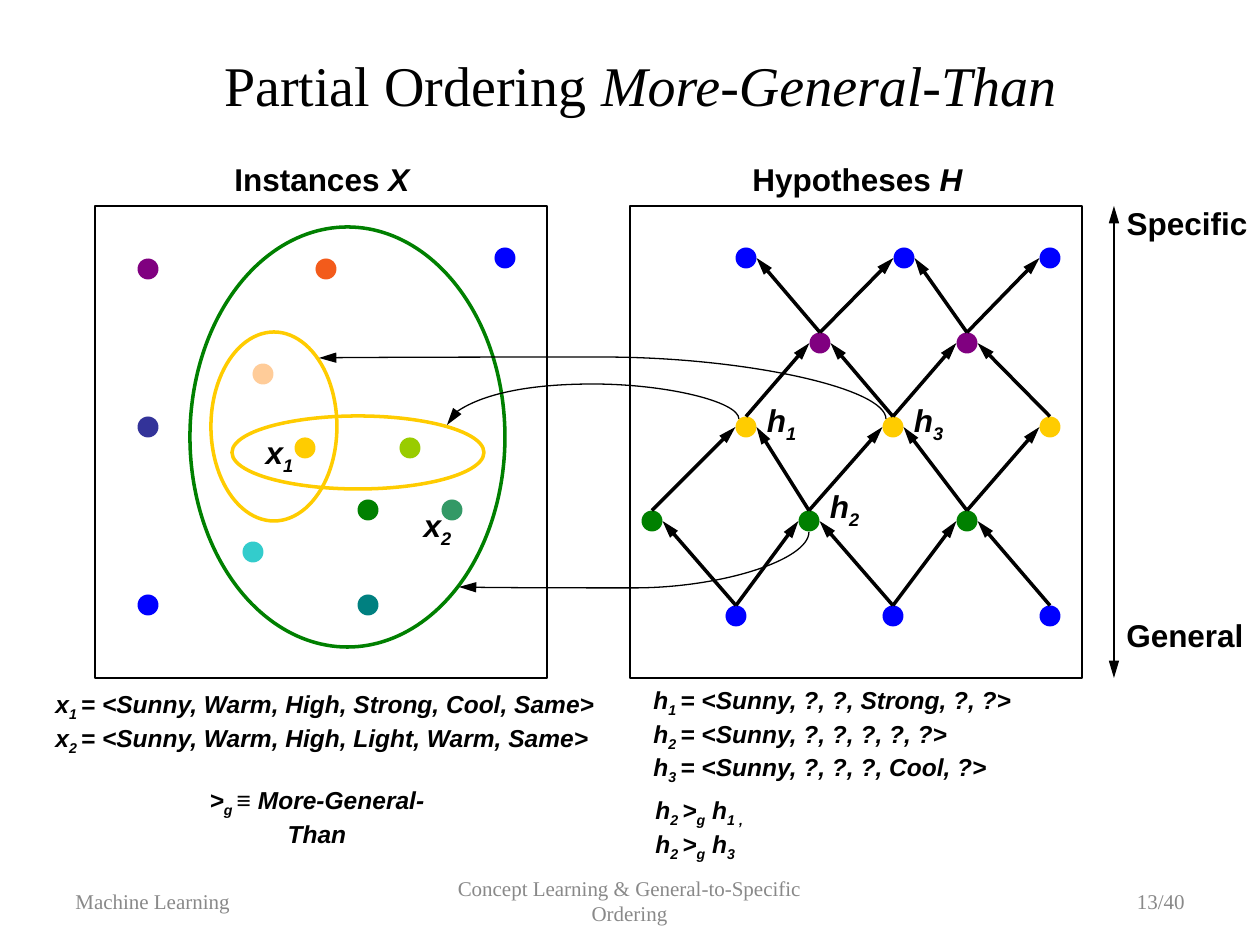
"""Builds the slide on the more-general-than ordering of hypotheses."""
from lxml import etree
from pptx import Presentation, util as u
from pptx.dml.color import RGBColor
from pptx.enum import shapes, text
from pptx.oxml.ns import qn

PX = u.Inches(10) / 1260
BLACK, GREY = RGBColor(0, 0, 0), RGBColor(0x89, 0x89, 0x89)
BLUE, PURPLE = RGBColor(0, 0, 255), RGBColor(128, 0, 128)
GREEN, GOLD = RGBColor(0, 128, 0), RGBColor(255, 204, 0)
ORANGE, INDIGO = RGBColor(0xF3, 0x5B, 0x1B), RGBColor(0x33, 0x33, 0x99)
PEACH, AQUA = RGBColor(0xFF, 0xCC, 0x99), RGBColor(0x33, 0xCC, 0xCC)
LIME, SEA, TEAL = RGBColor(0x99, 0xCC, 0), RGBColor(0x33, 0x99, 0x66), RGBColor(0, 128, 128)
SERIF, SANS = "Times New Roman", "Arial"
LEFT, CENTER, RIGHT = text.PP_ALIGN.LEFT, text.PP_ALIGN.CENTER, text.PP_ALIGN.RIGHT

TITLE = "Partial Ordering *More-General-Than"
FOOTERS = [
    ("Machine Learning", (63, 876, 294, 50), LEFT),
    ("Concept Learning & General-to-Specific Ordering", (430, 876, 399, 50), CENTER),
    ("13/40", (903, 876, 294, 50), RIGHT),
]
HEADINGS = [
    ("Specific", (1114, 198, 146, 50)), ("General", (1110, 610, 150, 50)),
    ("Instances *X", (222, 154, 200, 50)), ("Hypotheses *H", (740, 154, 235, 50)),
]
POINT_LABELS = [
    ("x_1", (252, 427)), ("x_2", (410, 500)),
    ("h_1", (754, 395)), ("h_2", (817, 481)), ("h_3", (901, 395)),
]
DEFINITIONS = [
    (["x_1 _= <Sunny, Warm, High, Strong, Cool, Same>",
      "x_2 _= <Sunny, Warm, High, Light, Warm, Same>"], (43, 683, 567, 72), LEFT),
    (["h_1 _= <Sunny, ?, ?, Strong, ?, ?>",
      "h_2 _= <Sunny, ?, ?, ?, ?, ?>",
      "h_3 _= <Sunny, ?, ?, ?, Cool, ?>"], (641, 679, 451, 101), LEFT),
    (["h_2 _>_g_ h_1 ,", "h_2 _>_g_ h_3"], (643, 789, 157, 72), LEFT),
    ([">_g _*≡ *More-General-Than"], (182, 779, 270, 72), CENTER),
]
PANELS = [(95, 206, 452, 472), (630, 206, 452, 472)]
INSTANCES = [
    (505, 258, BLUE), (326, 269, ORANGE), (148, 269, PURPLE), (148, 427, INDIGO),
    (148, 605, BLUE), (263, 374, PEACH), (253, 552, AQUA), (305, 448, GOLD),
    (410, 448, LIME), (368, 510, GREEN), (452, 510, SEA), (368, 605, TEAL),
]
COVERS = [((190, 227, 315, 420), GREEN), ((232, 416, 252, 73), GOLD), ((211, 332, 126, 189), GOLD)]
LATTICE = [
    (258, BLUE, (746, 904, 1050)), (343, PURPLE, (820, 967)), (427, GOLD, (746, 893, 1050)),
    (521, GREEN, (652, 809, 967)), (616, BLUE, (736, 893, 1050)),
]
REACH, DOT = 100, 21
COVER_CURVES = [
    ((447, 425), (739, 419), 384, 270, ()),
    ((319, 358), (886, 419), 357, 90, ("flipV",)),
    ((459, 587), (809, 532), 588, 90, ("flipH", "flipV")),
]


def px(*lengths):
    return [round(length * PX) for length in lengths]


def write(frame, lines, size, face, align, color=BLACK, bold=False, italic=False):
    for index, line in enumerate(lines):
        paragraph = frame.paragraphs[0] if index == 0 else frame.add_paragraph()
        paragraph.alignment = align
        font = paragraph.font
        font.size, font.name, font.bold, font.italic = u.Pt(size), face, bold, italic
        font.color.rgb = color
        for turn, chunk in enumerate(line.split("*")):
            for level, piece in enumerate(chunk.split("_")):
                if piece:
                    run = paragraph.add_run()
                    run.text = piece
                    if turn % 2:
                        run.font.italic = not italic
                    if level % 2:
                        run.font._element.set("baseline", "-25000")


def add_text(slide, lines, box, size, face, align, wrap=True, middle=False, **style):
    frame = slide.shapes.add_textbox(*px(*box)).text_frame
    frame.word_wrap = wrap
    if middle:
        frame.vertical_anchor = text.MSO_ANCHOR.MIDDLE
    write(frame, lines, size, face, align, **style)


def add_outline(slide, kind, box, color, width):
    outline = slide.shapes.add_shape(kind, *px(*box))
    outline.shadow.inherit = False
    outline.fill.background()
    outline.line.color.rgb, outline.line.width = color, u.Pt(width)


def add_dot(slide, x, y, color):
    dot = slide.shapes.add_shape(
        shapes.MSO_SHAPE.OVAL, *px(x - DOT / 2, y - DOT / 2, DOT, DOT))
    dot.shadow.inherit = False
    dot.fill.solid()
    dot.fill.fore_color.rgb = color
    dot.line.fill.background()


def add_arrow(slide, start, end, width, ends, kind=shapes.MSO_CONNECTOR.STRAIGHT):
    arrow = slide.shapes.add_connector(kind, *px(*start, *end))
    arrow.line.color.rgb, arrow.line.width = BLACK, u.Pt(width)
    for tag in ends:
        etree.SubElement(arrow.line._get_or_add_ln(), qn(tag),
                         type="triangle", w="med", len="lg")
    etree.SubElement(arrow.element.spPr, qn("a:effectLst"))
    return arrow


def add_curve(slide, start, end, crest, turn, flips):
    (x1, y1), (x2, y2) = start, end
    width, height = abs(y2 - y1), abs(x2 - x1)
    left, top = (x1 + x2 - width) / 2, (y1 + y2 - height) / 2
    curve = add_arrow(slide, (left, top), (left + width, top + height), 0.75,
                      ["a:headEnd"], shapes.MSO_CONNECTOR.CURVE)
    frame = curve.element.spPr.find(qn("a:xfrm"))
    frame.set("rot", str(turn * 60000))
    for flip in flips:
        frame.set(flip, "1")
    bend = round((y1 - crest) / (y1 - y2) * 100000)
    guides = curve.element.spPr.find(qn("a:prstGeom")).find(qn("a:avLst"))
    etree.SubElement(guides, qn("a:gd"), name="adj1", fmla=f"val {bend}")


def add_lattice(slide):
    for y, color, columns in LATTICE:
        for x in columns:
            add_dot(slide, x, y, color)
    for (upper_y, _, uppers), (lower_y, _, lowers) in zip(LATTICE, LATTICE[1:]):
        for lower in lowers:
            for upper in uppers:
                if abs(upper - lower) < REACH:
                    side = DOT / 2 if upper < lower else -DOT / 2
                    add_arrow(slide, (lower, lower_y - DOT / 2), (upper + side, upper_y),
                              2, ["a:tailEnd"])


def main():
    deck = Presentation()
    deck.slide_width, deck.slide_height = u.Inches(10), u.Inches(7.5)
    slide = deck.slides.add_slide(deck.slide_layouts[5])
    title = slide.shapes.title
    title.left, title.top, title.width, title.height = px(105, 21, 1071, 126)
    title.text_frame.vertical_anchor = text.MSO_ANCHOR.MIDDLE
    write(title.text_frame, [TITLE], 32, SERIF, CENTER)
    for words, box, align in FOOTERS:
        add_text(slide, [words], box, 12, SERIF, align, middle=True, color=GREY)
    for words, box in HEADINGS:
        add_text(slide, [words], box, 18, SANS, CENTER, wrap=False, bold=True)
    for lines, box, align in DEFINITIONS:
        add_text(slide, lines, box, 14, SANS, align, bold=True, italic=True)
    for x, y, color in INSTANCES:
        add_dot(slide, x, y, color)
    for box, color in COVERS:
        add_outline(slide, shapes.MSO_SHAPE.OVAL, box, color, 2)
    for curve in COVER_CURVES:
        add_curve(slide, *curve)
    for box in PANELS:
        add_outline(slide, shapes.MSO_SHAPE.RECTANGLE, box, BLACK, 0.75)
    add_lattice(slide)
    add_arrow(slide, (1114, 206), (1114, 678), 0.75, ["a:headEnd", "a:tailEnd"])
    for words, corner in POINT_LABELS:
        add_text(slide, [words], (*corner, 55, 50), 18, SANS, CENTER,
                 wrap=False, bold=True, italic=True)
    deck.save("out.pptx")


if __name__ == "__main__":
    main()
